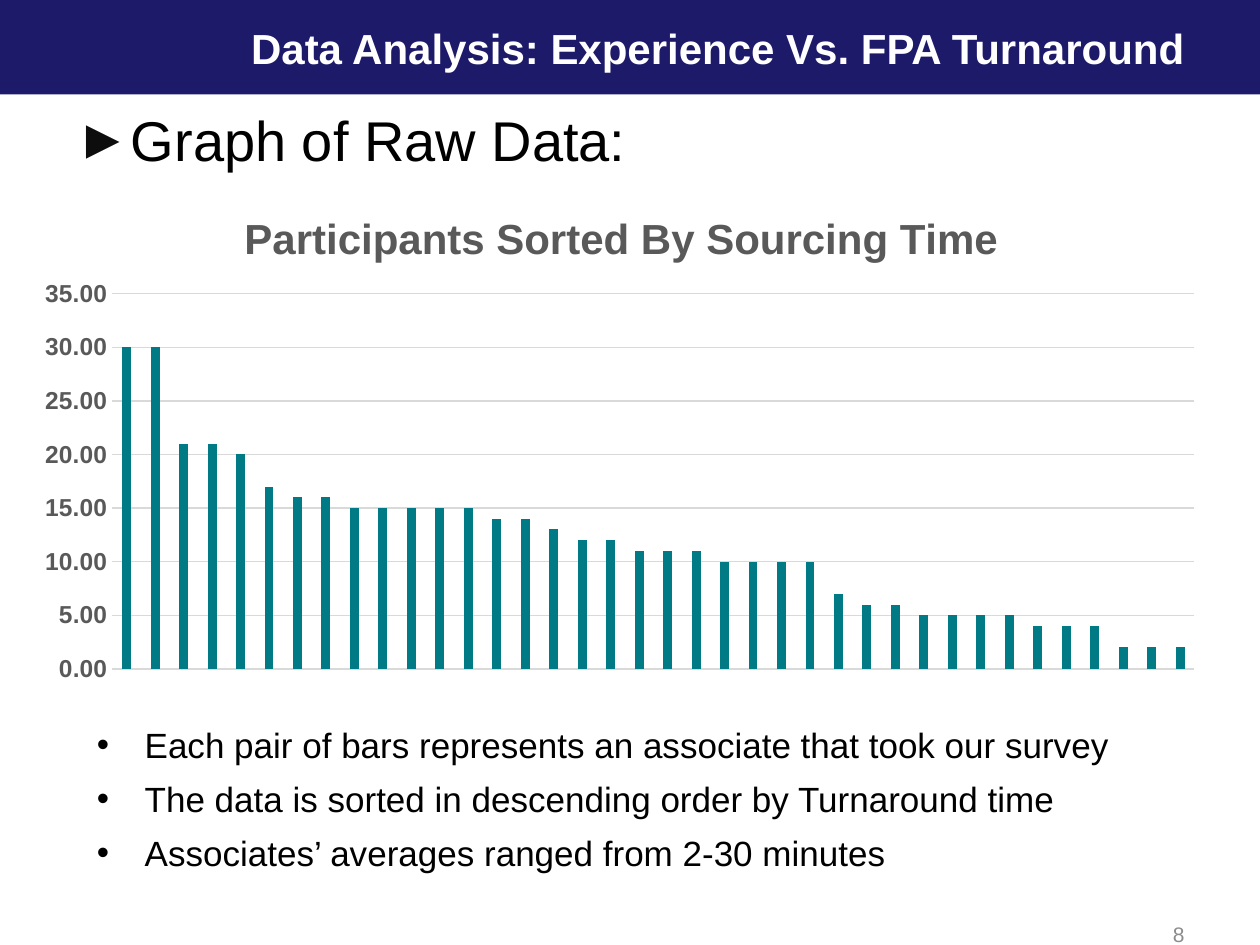
import pptx
import pptx.chart.data
import pptx.dml.color
import pptx.enum.chart
import pptx.enum.shapes
import pptx.enum.text
import pptx.oxml
import pptx.oxml.ns
import pptx.util

Inches, Pt = pptx.util.Inches, pptx.util.Pt
ALIGN = pptx.enum.text.PP_ALIGN
ANCHOR = pptx.enum.text.MSO_ANCHOR
qn = pptx.oxml.ns.qn

FONT = "Arial"
HEADLINE = "Data Analysis: Experience Vs. FPA Turnaround"
SUBHEAD = "Graph of Raw Data:"
NOTES = [
    "Each pair of bars represents an associate that took our survey",
    "The data is sorted in descending order by Turnaround time",
    "Associates’ averages ranged from 2-30 minutes",
]
PAGE_NUMBER = "8"
CHART_TITLE = "Participants Sorted By Sourcing Time"
MINUTES = [
    30, 30, 21, 21, 20, 17, 16, 16, 15, 15, 15, 15, 15, 14, 14, 13,
    12, 12, 11, 11, 11, 10, 10, 10, 10, 7, 6, 6, 5, 5, 5, 5,
    4, 4, 4, 2, 2, 2,
]


def rgb(value):
    return pptx.dml.color.RGBColor.from_string(value)


def style(font, size, color, bold=False):
    font.name, font.size, font.bold = FONT, Pt(size), bold
    font.color.rgb = rgb(color)


def add_text(box, lines, size, color, bold=False, align=ALIGN.LEFT,
             anchor=ANCHOR.TOP, gap=0):
    frame = slide.shapes.add_textbox(*map(Inches, box)).text_frame
    frame.word_wrap = True
    frame.vertical_anchor = anchor
    frame.text = "\n".join(lines)
    for index, paragraph in enumerate(frame.paragraphs):
        paragraph.alignment = align
        paragraph.space_before = Pt(gap if index else 0)
        style(paragraph.font, size, color, bold)
    return frame


def add_bullets(frame, symbol, color, indent):
    for paragraph in frame.paragraphs:
        props = paragraph._p.get_or_add_pPr()
        props.set("marL", str(Inches(indent)))
        props.set("indent", str(-Inches(indent)))
        for markup in (f'<a:buClr %s><a:srgbClr val="{color}"/></a:buClr>',
                       f'<a:buFont %s typeface="{FONT}"/>',
                       f'<a:buChar %s char="{symbol}"/>'):
            bullet = pptx.oxml.parse_xml(markup % pptx.oxml.ns.nsdecls("a"))
            props.insert_element_before(bullet, "a:tabLst", "a:defRPr", "a:extLst")


def place(element, position, **fractions):
    """Pin a chart part to fractions of the chart area."""
    for old in element.findall(qn("c:layout")):
        element.remove(old)
    settings = {"layoutTarget": "inner"} if "w" in fractions else {}
    settings.update(xMode="edge", yMode="edge", **fractions)
    parts = "".join(f'<c:{tag} val="{value}"/>' for tag, value in settings.items())
    element.insert(position, pptx.oxml.parse_xml(
        f'<c:layout {pptx.oxml.ns.nsdecls("c")}>'
        f'<c:manualLayout>{parts}</c:manualLayout></c:layout>'))


def add_sourcing_chart(box):
    data = pptx.chart.data.CategoryChartData(number_format="0.00")
    data.categories = [str(n) for n in range(1, len(MINUTES) + 1)]
    data.add_series("Series 1", MINUTES)
    chart = slide.shapes.add_chart(
        pptx.enum.chart.XL_CHART_TYPE.COLUMN_CLUSTERED, *map(Inches, box), data).chart
    style(chart.font, 10, "000000")
    chart.has_legend = False

    chart.has_title = True
    chart.chart_title.text_frame.text = CHART_TITLE
    style(chart.chart_title.text_frame.paragraphs[0].font, 24, "595959", True)
    place(chart.chart_title._element, 1, x=0.18, y=0.02)
    place(chart._chartSpace.chart.plotArea, 0, x=0.076, y=0.2, w=0.904, h=0.752)

    plot = chart.plots[0]
    plot.vary_by_categories = False
    plot.gap_width, plot.overlap = 219, -27
    bars = plot.series[0].format.fill
    bars.solid()
    bars.fore_color.rgb = rgb("007B85")

    chart.category_axis.visible = False
    axis = chart.value_axis
    axis.minimum_scale, axis.maximum_scale, axis.major_unit = 0, 35, 5
    axis.major_tick_mark = pptx.enum.chart.XL_TICK_MARK.NONE
    axis.format.line.fill.background()
    axis.major_gridlines.format.line.width = Pt(0.75)
    axis.major_gridlines.format.line.color.rgb = rgb("D9D9D9")
    style(axis.tick_labels.font, 14, "595959", True)
    axis.tick_labels.number_format = "0.00"
    axis.tick_labels.number_format_is_linked = False


deck = pptx.Presentation()
deck.slide_width, deck.slide_height = Inches(10), Inches(7.5)
slide = deck.slides.add_slide(deck.slide_layouts[6])

banner = slide.shapes.add_shape(
    pptx.enum.shapes.MSO_SHAPE.RECTANGLE, 0, 0, Inches(10), Inches(0.75))
banner.shadow.inherit = False
banner.fill.solid()
banner.fill.fore_color.rgb = rgb("1E1A6A")
banner.line.fill.background()

add_text((1.11, 0, 8.39, 0.75), [HEADLINE], 24, "FFFFFF", True,
         ALIGN.RIGHT, ANCHOR.MIDDLE)
subhead = add_text((0.5, 0.79, 9, 0.75), [SUBHEAD], 32, "000000")
add_bullets(subhead, "►", "0D0D0D", 0.4)
add_text((9.08, 7.33, 0.42, 0.17), [PAGE_NUMBER], 12, "8C8C8C",
         align=ALIGN.RIGHT, anchor=ANCHOR.MIDDLE)
notes = add_text((0.67, 5.69, 9.67, 1.31), NOTES, 20, "000000", gap=7)
add_bullets(notes, "•", "000000", 0.38)
add_sourcing_chart((0.17, 1.54, 9.5, 3.96))

deck.save("out.pptx")
